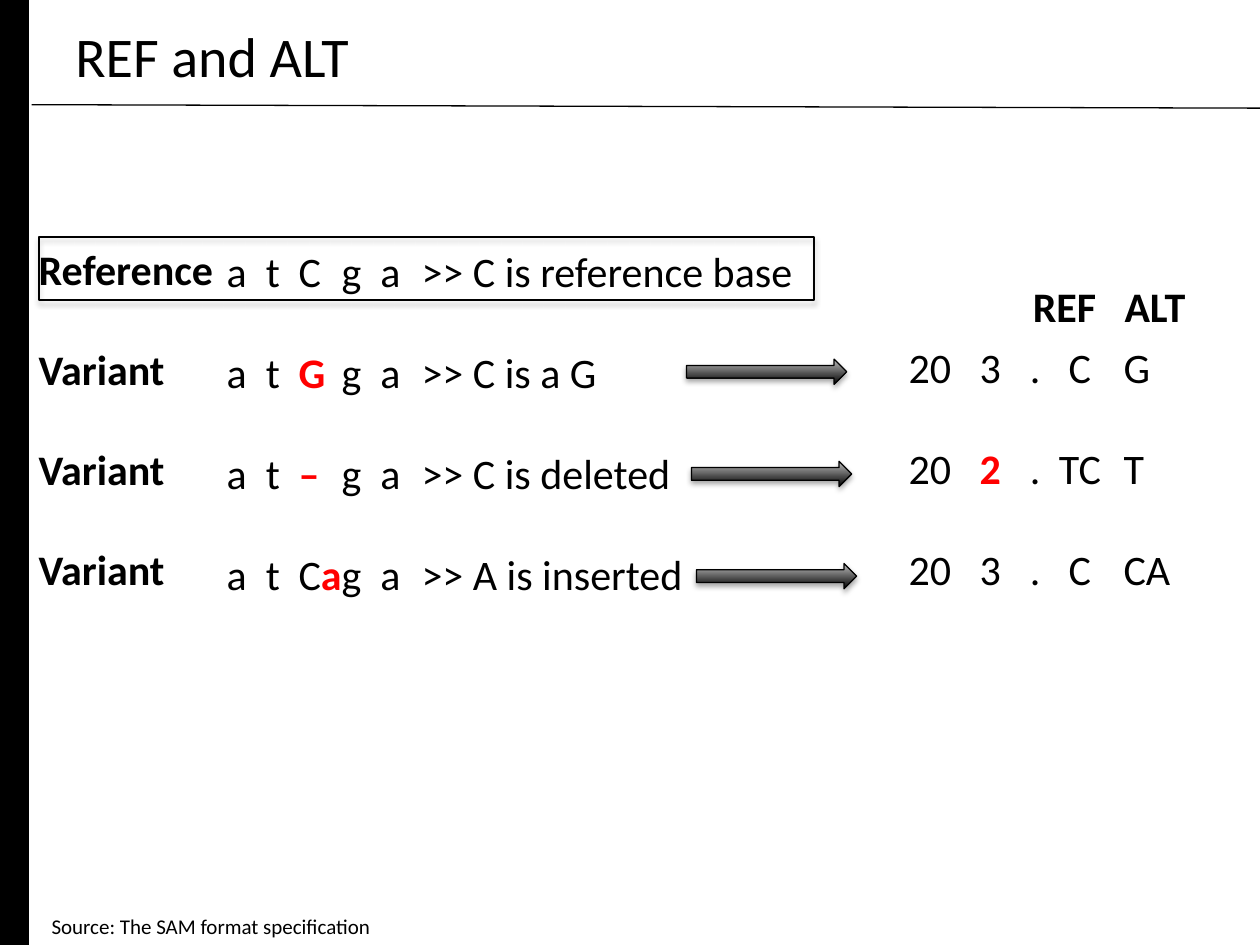
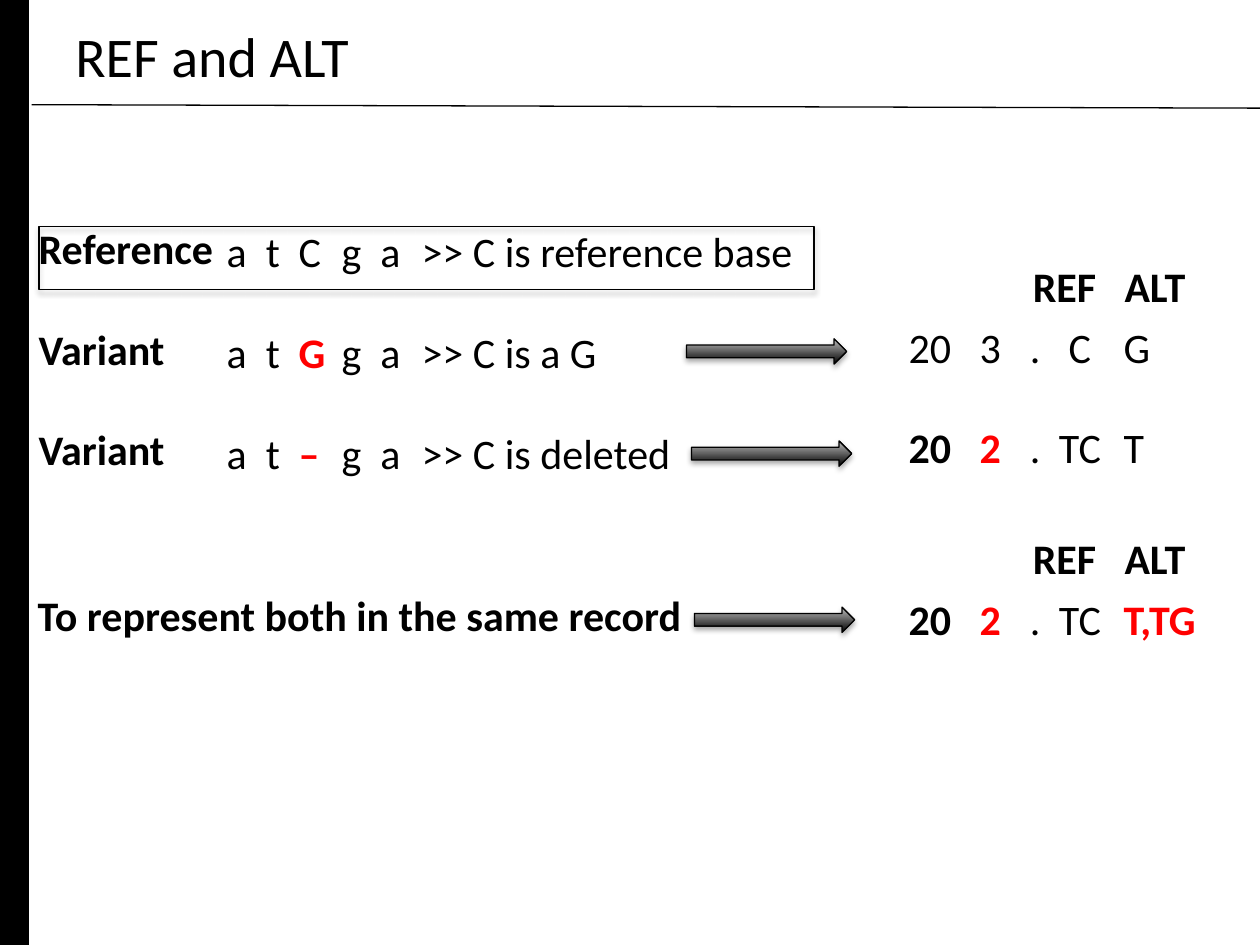
from lxml.etree import SubElement as Sub
from pptx import Presentation as Deck
from pptx.dml.color import RGBColor as RGB
from pptx.enum.shapes import MSO_CONNECTOR as Link, MSO_SHAPE as Form
from pptx.enum.text import MSO_ANCHOR as Anchor
from pptx.oxml.ns import qn
from pptx.util import Cm, Pt

BLACK, RED, GREY = "000000", "FF0000", "BDBDBD"
BASES = (0.79, 1.45, 2.32, 3.1, 3.93)
FIELDS = (1.43, 2.44, (3.45, "ctr"), 4.33)
HEADS = (1.85,)

REFER = ["a\tt\tC\tg\ta\t>> C is reference base"]
SWAP = ["a\tt\t", ("G", RED), "\tg\ta\t>> C is a G"]
CUT = ["a\tt\t", ("–", RED), "\tg\ta\t>> C is deleted"]
ADD = ["a\tt\tC", ("a", RED), "g\ta\t>> A is inserted"]


def ink(code):
    return RGB.from_string(code)


class Board:
    """Holds the deck, its text style and the slide being drawn."""
    font, size, gap = "Calibri", 24, 28.8

    def __init__(self):
        self.deck = Deck()
        self.deck.slide_width, self.deck.slide_height = Cm(25.4), Cm(19.05)

    def start(self, title):
        self.slide = self.deck.slides.add_slide(self.deck.slide_layouts[6])
        band = self.shape(Form.RECTANGLE, 0, 0, 0.58, 19.05)
        band.fill.solid()
        band.fill.fore_color.rgb = ink(BLACK)
        self.rule(0.64, 2.11, 25.4, 2.18)
        head = self.text(1.27, 0.1, 22.86, 2.03, [[title]], size=32)
        head.vertical_anchor = Anchor.MIDDLE

    def shape(self, form, x, y, w, h):
        item = self.slide.shapes.add_shape(form, Cm(x), Cm(y), Cm(w), Cm(h))
        item.shadow.inherit = False
        item.line.color.rgb = ink(BLACK)
        item.line.width = Pt(0.75)
        return item

    def rule(self, x1, y1, x2, y2):
        line = self.slide.shapes.add_connector(
            Link.STRAIGHT, Cm(x1), Cm(y1), Cm(x2), Cm(y2))
        line.line.color.rgb = ink(BLACK)
        line.line.width = Pt(0.75)
        Sub(line._element.spPr, qn("a:effectLst"))

    def shade(self, item):
        """Give a shape a soft shadow straight below it."""
        glow = item._element.spPr.find(qn("a:effectLst"))
        cast = Sub(glow, qn("a:outerShdw"), blurRad="40000", dist="23000",
                   dir="5400000", rotWithShape="0")
        tone = Sub(cast, qn("a:srgbClr"), val=BLACK)
        Sub(tone, qn("a:alpha"), val="35000")

    def arrow(self, x, y):
        item = self.shape(Form.RIGHT_ARROW, x, y, 3.23, 0.51)
        item.fill.gradient()
        item.fill.gradient_angle = 90
        for stop, code in zip(item.fill.gradient_stops, (BLACK, GREY)):
            stop.color.rgb = ink(code)
        self.shade(item)

    def frame(self, x, y, w, h):
        item = self.shape(Form.RECTANGLE, x, y, w, h)
        item.fill.background()
        self.shade(item)

    def text(self, x, y, w, h, rows, size=None, bold=False, tabs=()):
        """Each row is a list of strings or (string, colour) bold parts."""
        box = self.slide.shapes.add_textbox(Cm(x), Cm(y), Cm(w), Cm(h))
        body = box.text_frame
        body.word_wrap = True
        for i, row in enumerate(rows):
            para = body.add_paragraph() if i else body.paragraphs[0]
            self.stops(para, tabs)
            if i:
                para.space_before = Pt(self.gap)
            font = para.font
            font.name, font.size = self.font, Pt(size or self.size)
            font.bold, font.color.rgb = bold, ink(BLACK)
            for part in row:
                run = para.add_run()
                if isinstance(part, str):
                    run.text = part
                else:
                    run.text, code = part
                    run.font.bold, run.font.color.rgb = True, ink(code)
        return body

    def stops(self, para, tabs):
        """Add tab stops: a length in cm, or (length, alignment)."""
        if not tabs:
            return
        group = Sub(para._p.get_or_add_pPr(), qn("a:tabLst"))
        for tab in tabs:
            pos, side = tab if isinstance(tab, tuple) else (tab, "l")
            Sub(group, qn("a:tab"), pos=str(Cm(pos)), algn=side)

    def label(self, x, y, w, words):
        self.text(x, y, w, 1.27, [[words]], bold=True)

    def heads(self, y):
        self.text(20.57, y, 3.66, 1.27, [["REF\tALT"]], bold=True, tabs=HEADS)

    def fields(self, y, rows):
        self.text(18.07, y, 7.3, 2 * len(rows) - 0.7, rows, tabs=FIELDS)

    def calls(self, top, seqs, rows):
        """Set the reference and its variants beside their records."""
        for i in range(len(seqs)):
            word = "Variant" if i else "Reference"
            self.label(0.53, top + 2.02 * i, 5.16, word)
        self.text(4.32, top + 0.05, 13.08, 2 * len(seqs) - 0.6, seqs,
                  tabs=BASES)
        self.fields(top + 1.98, rows)
        for i in range(len(rows)):
            self.arrow(13.84 + 0.1 * i, top + 2.46 + 2.06 * i)
        self.heads(top + 0.76)


def main():
    board = Board()
    first = ["20\t3\t.\tC\tG"]

    board.start("REF and ALT")
    board.text(0.79, 18.29, 7.67, 0.7,
               [["Source: The SAM format specification"]], size=12)
    board.calls(4.78, [REFER, SWAP, CUT, ADD],
                [first, ["20\t", ("2", RED), "\t.\tTC\tT"],
                 ["20\t3\t.\tC\tCA"]])
    board.frame(0.79, 4.78, 15.62, 1.27)

    board.start("REF and ALT")
    moved = [("20", BLACK), "\t", ("2", RED), "\t.\tTC\t"]
    board.calls(4.37, [REFER, SWAP, CUT], [first, moved + ["T"]])
    board.label(0.51, 11.76, 15.11, "To represent both in the same record")
    board.fields(11.84, [moved + [("T,TG", RED)]])
    board.heads(10.62)
    board.arrow(14, 12.24)
    board.frame(0.79, 4.57, 15.62, 1.27)

    board.deck.save("out.pptx")


if __name__ == "__main__":
    main()
